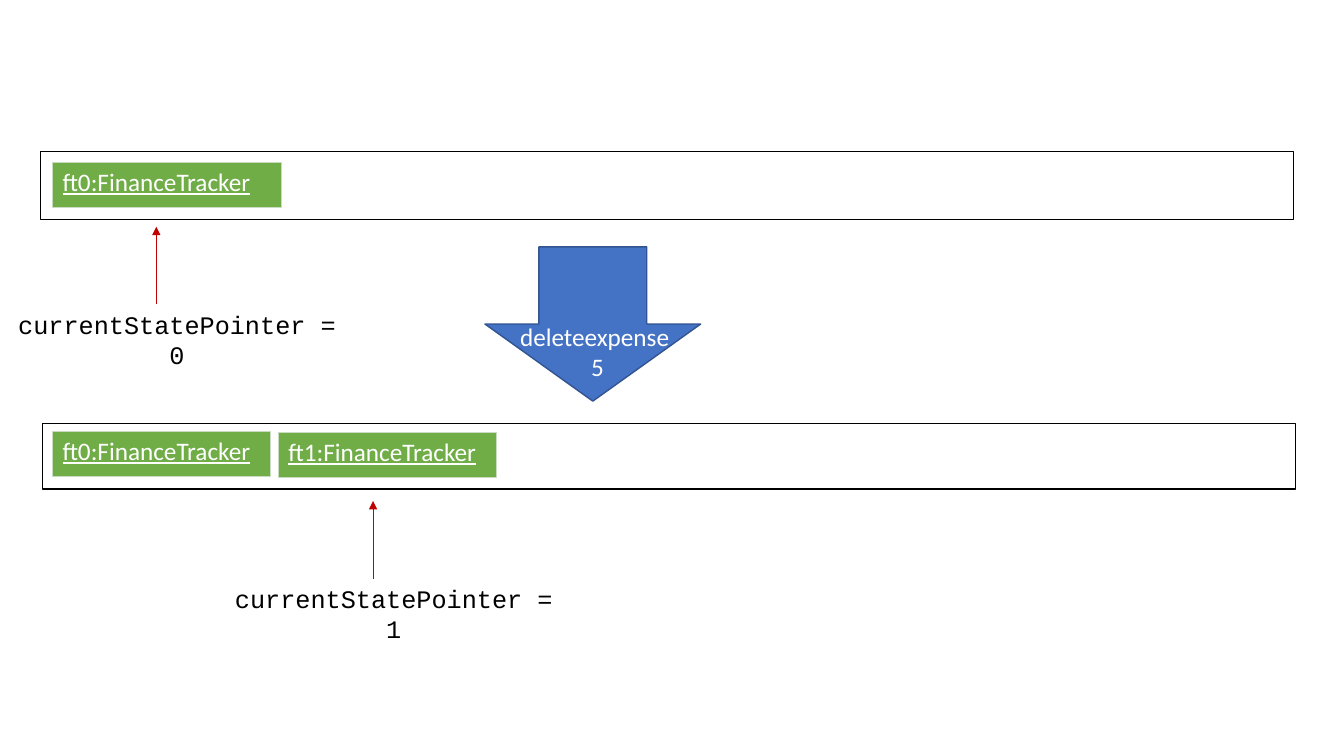
from lxml import etree
from pptx import Presentation
from pptx.dml.color import RGBColor
from pptx.enum.shapes import MSO_CONNECTOR, MSO_SHAPE
from pptx.enum.text import PP_ALIGN
from pptx.oxml.ns import qn
from pptx.util import Inches, Pt

LEFT, CENTER = PP_ALIGN.LEFT, PP_ALIGN.CENTER
RECT, DOWN = MSO_SHAPE.RECTANGLE, MSO_SHAPE.DOWN_ARROW
LINE = MSO_CONNECTOR.STRAIGHT
BLACK, WHITE, GREEN = "000000", "FFFFFF", "70AD47"
BLUE, NAVY, RED, PALE = "4472C4", "325491", "C00000", "C9DBC1"


def paint(part, color):
    """Give a fill a solid colour."""
    part.solid()
    part.fore_color.rgb = RGBColor.from_string(color)


def write(frame, *lines, font="Calibri", color=WHITE, under=False, aligns=(LEFT,)):
    """Write one paragraph per line with the given format."""
    for i, (line, align) in enumerate(zip(lines, aligns)):
        para = frame.add_paragraph() if i else frame.paragraphs[0]
        para.alignment = align
        run = para.add_run()
        run.text = line
        run.font.name, run.font.size = font, Pt(18)
        run.font.bold, run.font.underline = False, under
        paint(run.font.fill, color)


def add_text(slide, box, *lines, wrap=True, **form):
    """Add a text box."""
    frame = slide.shapes.add_textbox(*map(Inches, box)).text_frame
    frame.word_wrap = wrap
    write(frame, *lines, **form)


def add_block(slide, kind, box, line, fill=None):
    """Add an outlined preset shape, filled or hollow."""
    shape = slide.shapes.add_shape(kind, *map(Inches, box))
    shape.shadow.inherit = False
    if fill:
        paint(shape.fill, fill)
    else:
        shape.fill.background()
    paint(shape.line.fill, line)
    shape.line.width = Pt(1)


def add_edges(cell):
    """Draw thin pale borders around a cell."""
    props = cell._tc.get_or_add_tcPr()
    for i, side in enumerate("LRTB"):
        edge = etree.Element(qn(f"a:ln{side}"), w=str(Pt(0.5)))
        fill = etree.SubElement(edge, qn("a:solidFill"))
        etree.SubElement(fill, qn("a:srgbClr"), val=PALE)
        props.insert(i, edge)


def add_state(slide, box, name):
    """Add a one-cell table that shows a saved state."""
    table = slide.shapes.add_table(1, 1, *map(Inches, box)).table
    table.first_row = table.horz_banding = False
    cell = table.cell(0, 0)
    paint(cell.fill, GREEN)
    add_edges(cell)
    write(cell.text_frame, name, under=True)


def add_arrow(slide, x, start, end):
    """Add a thin upward arrow."""
    arrow = slide.shapes.add_connector(LINE, *map(Inches, (x, start, x, end)))
    paint(arrow.line.fill, RED)
    arrow.line.width = Pt(0.5)
    etree.SubElement(arrow.line._get_or_add_ln(), qn("a:tailEnd"), type="triangle")
    etree.SubElement(arrow._element.spPr, qn("a:effectLst"))


def add_pointer(slide, left, top, index):
    """Add the pointer label and the arrow above it."""
    add_text(slide, (left, top, 3.51, 0.4), f"currentStatePointer = {index}",
             font="Courier New", color=BLACK, aligns=(CENTER,))
    add_arrow(slide, left + 1.55, top, top - 0.77)


def main():
    """Build the slide and save it."""
    deck = Presentation()
    deck.slide_width, deck.slide_height = Inches(13.33), Inches(7.5)
    slide = deck.slides.add_slide(deck.slide_layouts[6])
    add_block(slide, DOWN, (4.81, 2.45, 2.14, 1.53), NAVY, BLUE)
    add_block(slide, RECT, (0.4, 1.5, 12.43, 0.68), BLACK)
    add_block(slide, RECT, (0.42, 4.2, 12.43, 0.65), BLACK)
    states = [(0.52, 1.61, 2.27, 0), (0.52, 4.28, 2.16, 0), (2.76, 4.29, 2.16, 1)]
    for left, top, width, index in states:
        add_state(slide, (left, top, width, 0.45), f"ft{index}:FinanceTracker")
    add_pointer(slide, 0, 3.02, 0)
    add_pointer(slide, 2.15, 5.74, 1)
    add_text(slide, (5.06, 3.14, 1.76, 1.01), "deleteexpense ", "5",
             wrap=False, aligns=(LEFT, CENTER))
    deck.save("out.pptx")


main()
